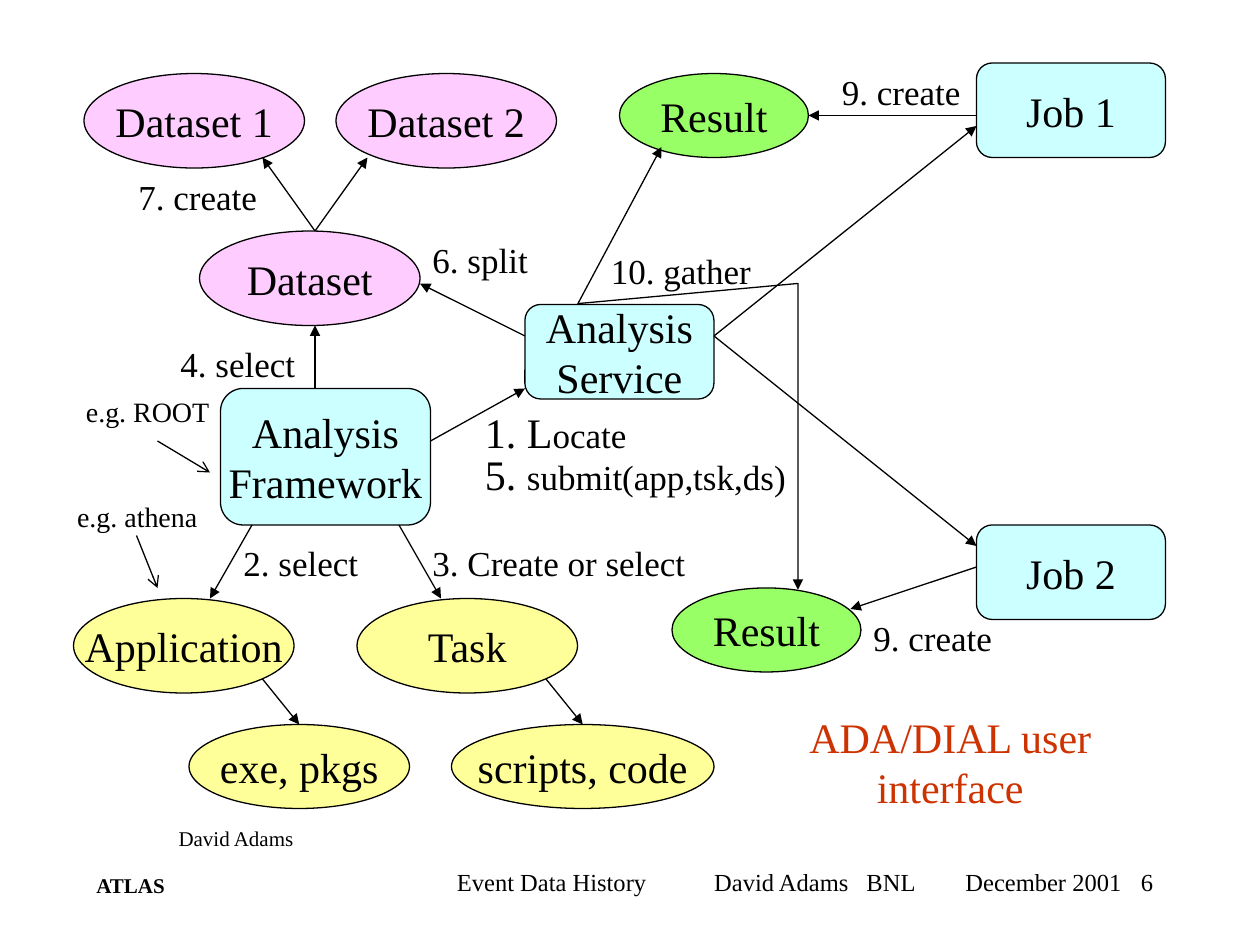
from lxml import etree
from pptx import Presentation
from pptx.dml.color import RGBColor
from pptx.enum.shapes import MSO_CONNECTOR, MSO_SHAPE
from pptx.enum.text import MSO_ANCHOR, MSO_AUTO_SIZE, PP_ALIGN
from pptx.oxml.ns import qn
from pptx.util import Pt

THEME = {
    "font": "Times New Roman",
    "ink": RGBColor.from_string("000000"),
    "title": RGBColor.from_string("CC3300"),
    "process": RGBColor.from_string("CCFFFF"),
    "program": RGBColor.from_string("FFFF99"),
    "dataset": RGBColor.from_string("FFCCFF"),
    "result": RGBColor.from_string("99FF66"),
    "line": Pt(0.75),
    "node_size": 24, "step_size": 20, "note_size": 16,
    "footer_size": 14, "mark_size": 12,
}


def write(frame, lines, align=PP_ALIGN.LEFT, color=THEME["ink"], bold=False):
    """Fill a frame; each line is a list of (text, size) runs."""
    for number, runs in enumerate(lines):
        paragraph = frame.add_paragraph() if number else frame.paragraphs[0]
        paragraph.alignment = align
        for text, size in runs:
            run = paragraph.add_run()
            run.text = text
            look = {"name": THEME["font"], "size": Pt(size), "bold": bold}
            for key, value in look.items():
                setattr(run.font, key, value)
            run.font.color.rgb = color


def outline(item, head=None):
    """Draw a thin black line, with an arrowhead at its end if asked."""
    item.line.color.rgb = THEME["ink"]
    item.line.width = THEME["line"]
    if head:
        etree.SubElement(item.line._get_or_add_ln(), qn("a:tailEnd"), type=head)


deck = Presentation()
deck.slide_width, deck.slide_height = Pt(720), Pt(540)
slide = deck.slides.add_slide(deck.slide_layouts[5])
shapes = slide.shapes

# Title
title = shapes.title
placement = {"left": 414, "top": 403, "width": 258, "height": 65}
for side, length in placement.items():
    setattr(title, side, Pt(length))
title_format = {"word_wrap": True, "auto_size": MSO_AUTO_SIZE.NONE,
                "vertical_anchor": MSO_ANCHOR.TOP}
for key, value in title_format.items():
    setattr(title.text_frame, key, value)
write(title.text_frame, [[("ADA/DIAL user interface", THEME["node_size"])]],
      PP_ALIGN.CENTER, THEME["title"])

# Nodes: processes are rounded boxes, data are ellipses
nodes = [
    ("Analysis\nFramework", "process", 126, 222, 120, 78),
    ("Analysis\nService", "process", 300, 174, 108, 54),
    ("Job 1", "process", 558, 36, 108, 54),
    ("Job 2", "process", 558, 300, 108, 54),
    ("Application", "program", 42, 342, 126, 54),
    ("Task", "program", 204, 342, 126, 54),
    ("exe, pkgs", "program", 108, 414, 126, 48),
    ("scripts, code", "program", 258, 414, 150, 48),
    ("Dataset 1", "dataset", 48, 42, 126, 54),
    ("Dataset 2", "dataset", 192, 42, 126, 54),
    ("Dataset", "dataset", 114, 132, 126, 54),
    ("Result", "result", 354, 42, 108, 48),
    ("Result", "result", 384, 336, 108, 48),
]
for name, kind, *box in nodes:
    outer = MSO_SHAPE.ROUNDED_RECTANGLE if kind == "process" else MSO_SHAPE.OVAL
    node = shapes.add_shape(outer, *map(Pt, box))
    node.shadow.inherit = False
    node.fill.solid()
    node.fill.fore_color.rgb = THEME[kind]
    outline(node)
    node.text_frame.word_wrap = False
    node.text_frame.vertical_anchor = MSO_ANCHOR.MIDDLE
    write(node.text_frame,
          [[(line, THEME["node_size"])] for line in name.split("\n")],
          PP_ALIGN.CENTER)

# Arrows: start x, y, end x, y; open heads belong to the notes
flows = [
    (144, 300, 120, 342), (228, 300, 252, 342),  # framework to application, task
    (180, 222, 180, 186), (246, 252, 300, 222),  # framework to dataset, service
    (408, 192, 558, 72), (408, 192, 558, 312),   # service to jobs
    (300, 192, 240, 162), (330, 174, 378, 84),   # service to dataset, result
    (180, 132, 150, 90), (180, 132, 210, 90),    # dataset to its parts
    (558, 66, 462, 66), (558, 324, 486, 348),    # jobs to results
    (150, 388, 171, 414), (312, 388, 333, 414),  # program to its files
]
pointers = [(90, 252, 120, 270), (78, 306, 90, 336)]
for head, arrows in (("triangle", flows), ("arrow", pointers)):
    for ends in arrows:
        arrow = shapes.add_connector(MSO_CONNECTOR.STRAIGHT, *map(Pt, ends))
        outline(arrow, head)
        etree.SubElement(arrow._element.spPr, qn("a:effectLst"))

# Bent gather arrow from the service to the second result
path_builder = shapes.build_freeform(Pt(330.5), Pt(173.5))
path_builder.add_line_segments(
    [(Pt(456), Pt(162)), (Pt(456), Pt(337))], close=False)
gather = path_builder.convert_to_shape()
gather.shadow.inherit = False
gather.fill.background()
outline(gather, "triangle")

# Step labels, notes and marks: runs, left, top, width, height, bold
step, note, mark = THEME["step_size"], THEME["note_size"], THEME["mark_size"]
labels = [
    ([("1. L", THEME["node_size"]), ("ocate", step)], 270, 229, 186, 36, False),
    ([("5. ", THEME["node_size"]), ("submit(app,tsk,ds)", step)],
     270, 253, 264, 36, False),
    ([("2. select", step)], 132, 306, 112, 32, False),
    ([("3. Create or select", step)], 240, 306, 168, 32, False),
    ([("4. select", step)], 96, 192, 112, 32, False),
    ([("6. split", step)], 240, 133, 90, 32, False),
    ([("7. create", step)], 72, 97, 112, 32, False),
    ([("9. create", step)], 474, 37, 90, 32, False),
    ([("9. create", step)], 492, 349, 90, 32, False),
    ([("10. gather", step)], 342, 139, 108, 32, False),
    ([("e.g. ROOT", note)], 42, 222, 90, 27, False),
    ([("e.g. athena", note)], 37, 282, 90, 27, False),
    ([("David Adams", mark)], 95, 468, 103, 22, False),
    ([("ATLAS", mark)], 48, 495, 60, 22, True),
]
for runs, left, top, width, height, bold in labels:
    label = shapes.add_textbox(Pt(left), Pt(top), Pt(width), Pt(height))
    label.text_frame.word_wrap = True
    write(label.text_frame, [runs], bold=bold)

# Footer: talk and author share one tabbed line, then date and page number
footers = [
    ("Event Data History\tDavid Adams\tBNL", 254, 292, PP_ALIGN.LEFT, (147, 234)),
    ("December 2001", 516, 132, PP_ALIGN.RIGHT, ()),
    ("6", 636, 30, PP_ALIGN.RIGHT, ()),
]
for text, left, width, align, stops in footers:
    footer = shapes.add_textbox(Pt(left), Pt(492), Pt(width), Pt(36))
    footer.text_frame.word_wrap = True
    if stops:
        properties = footer.text_frame.paragraphs[0]._p.get_or_add_pPr()
        tab_list = etree.SubElement(properties, qn("a:tabLst"))
        for stop in stops:
            etree.SubElement(tab_list, qn("a:tab"), pos=str(Pt(stop)), algn="l")
    write(footer.text_frame, [[(text, THEME["footer_size"])]], align)

deck.save("out.pptx")
